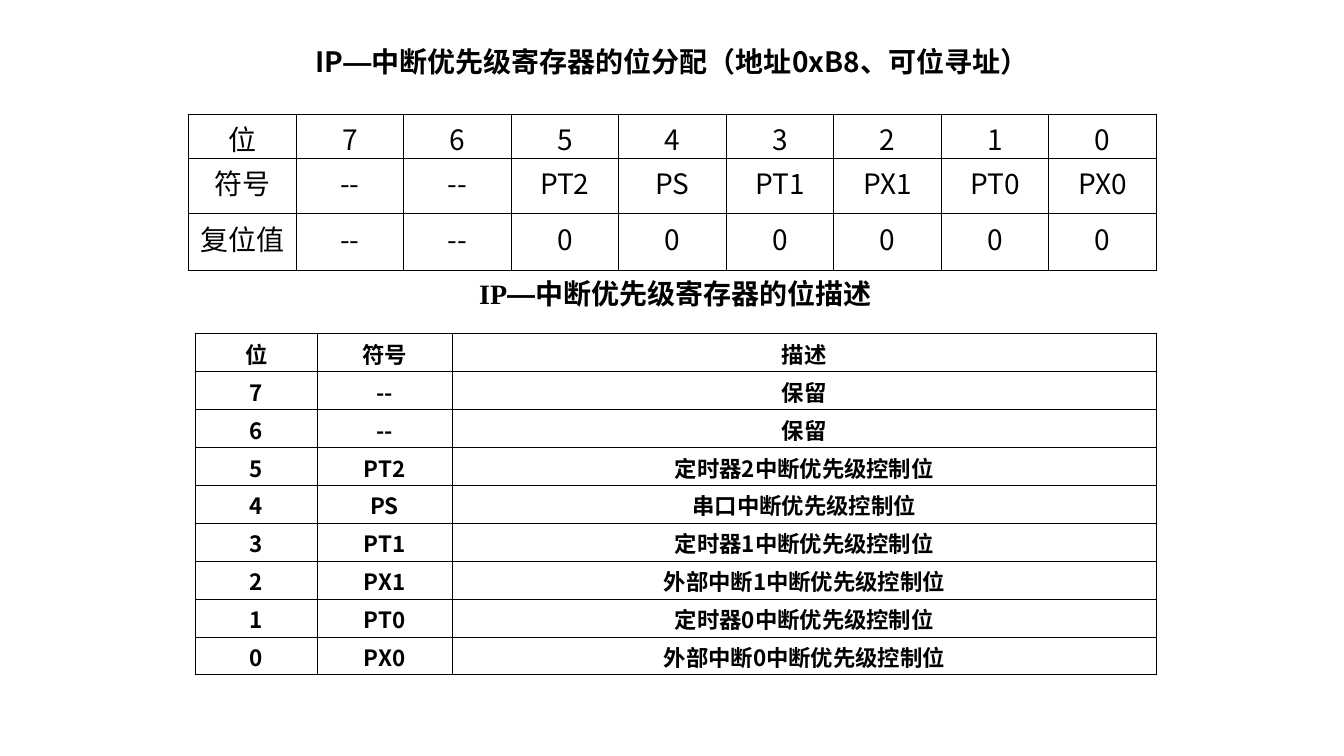
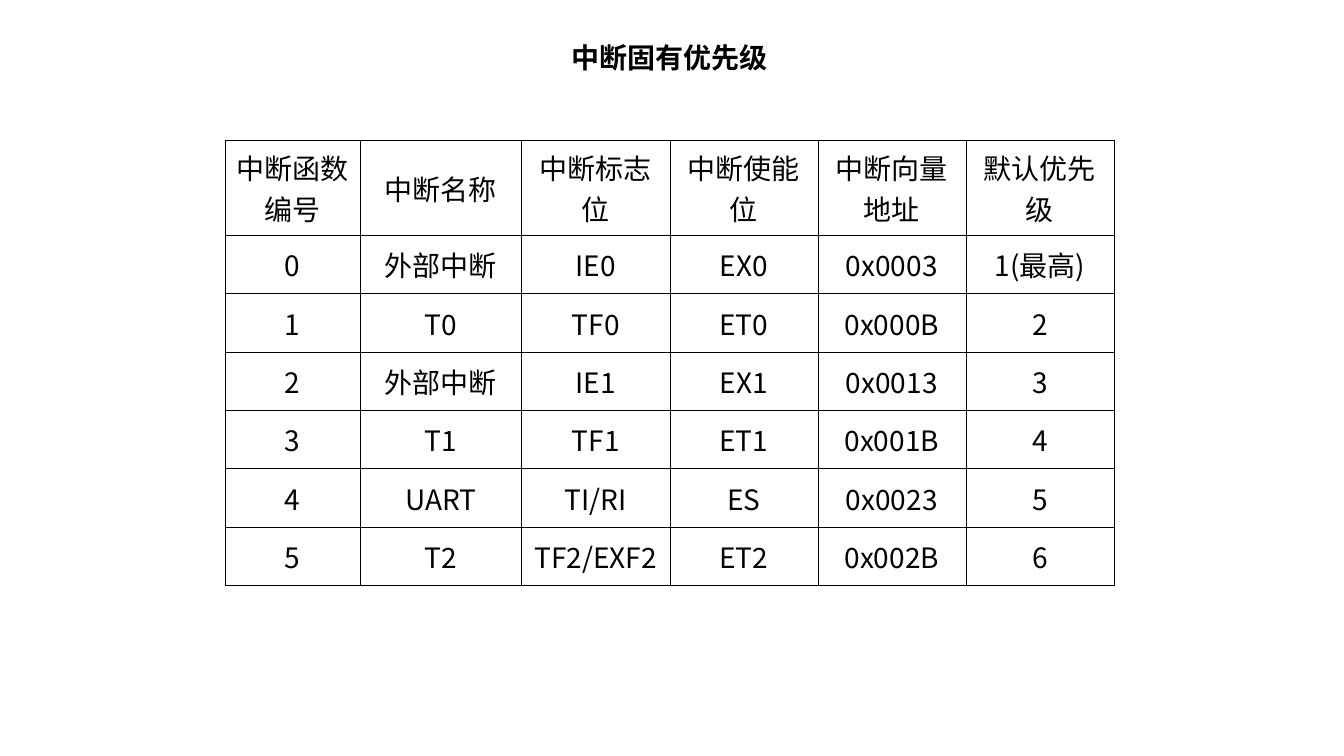
from dataclasses import dataclass

from pptx import Presentation
from pptx.dml.color import RGBColor
from pptx.enum.text import MSO_ANCHOR as Anchor, PP_ALIGN as Align
from pptx.oxml import parse_xml
from pptx.oxml.ns import nsdecls, qn
from pptx.oxml.xmlchemy import OxmlElement
from pptx.slide import Slide
from pptx.table import _Cell as Cell
from pptx.text.text import TextFrame
from pptx.util import Cm, Pt

WIDTH, HEIGHT = 33.87, 19.05
BLACK = "000000"
SANS, ARIAL, SERIF = "Noto Sans CJK SC", "Arial", "Times New Roman"


@dataclass
class Title:
    """A centred heading made of (text, font) runs; lengths in cm."""
    top: float
    runs: list[tuple[str, str]]
    left: float = 0
    width: float = WIDTH


@dataclass
class Grid:
    """A ruled table; lengths in cm."""
    left: float
    top: float
    cols: list[float]
    rows: list[float]
    data: list[list[str]]
    size: int = 20
    bold: bool = False
    anchor: Anchor = Anchor.TOP
    pad_top: float = 0.1
    pad_end: float = 0


def color(code: str) -> RGBColor:
    return RGBColor.from_string(code)


def write(frame: TextFrame, text: str, *, font: str = SANS, size: int = 20,
          bold: bool = False, ink: str = BLACK) -> None:
    """Append a run to the frame's first, centred paragraph."""
    para = frame.paragraphs[0]
    para.alignment = Align.CENTER
    run = para.add_run()
    run.text = text
    run.font.size = Pt(size)
    run.font.bold = bold
    run.font.color.rgb = color(ink)
    run.font.name = font
    east = OxmlElement("a:ea")
    east.set("typeface", font)
    run._r.get_or_add_rPr().find(qn("a:latin")).addnext(east)


def rule(cell: Cell, ink: str = BLACK, points: float = 0.5) -> None:
    """Draw a line on all four sides of a cell."""
    props = cell._tc.get_or_add_tcPr()
    for place, side in enumerate("LRTB"):
        props.insert(place, parse_xml(
            f'<a:ln{side} {nsdecls("a")} w="{Pt(points)}"><a:solidFill>'
            f'<a:srgbClr val="{ink}"/></a:solidFill></a:ln{side}>'))


def add_title(slide: Slide, title: Title) -> None:
    box = slide.shapes.add_textbox(Cm(title.left), Cm(title.top),
                                   Cm(title.width), Cm(1.12))
    frame = box.text_frame
    frame.word_wrap = True
    frame.margin_top = frame.margin_bottom = 0
    for text, font in title.runs:
        write(frame, text, font=font, bold=True)


def add_grid(slide: Slide, grid: Grid) -> None:
    table = slide.shapes.add_table(
        len(grid.rows), len(grid.cols), Cm(grid.left), Cm(grid.top),
        Cm(sum(grid.cols)), Cm(sum(grid.rows))).table
    table.first_row = table.horz_banding = False
    for col, width in zip(table.columns, grid.cols):
        col.width = Cm(width)
    for row, height, texts in zip(table.rows, grid.rows, grid.data):
        row.height = Cm(height)
        for cell, text in zip(row.cells, texts):
            cell.fill.background()
            rule(cell)
            cell.vertical_anchor = grid.anchor
            cell.margin_top = Cm(grid.pad_top)
            cell.margin_bottom = Cm(grid.pad_end)
            write(cell.text_frame, text, size=grid.size, bold=grid.bold)


def split(text: str) -> list[list[str]]:
    """Turn lines of words into table rows."""
    return [line.split() for line in text.strip().splitlines()]


BITS = Grid(4.75, 2.88, [2.71] * 9, [1.11, 1.39, 1.42], split("""
位 7 6 5 4 3 2 1 0
符号 -- -- PT2 PS PT1 PX1 PT0 PX0
复位值 -- -- 0 0 0 0 0 0
"""))

ROLES = Grid(4.93, 8.4, [3.06, 3.4, 17.76], [8.61 / 9] * 9, split("""
位 符号 描述
7 -- 保留
6 -- 保留
5 PT2 定时器2中断优先级控制位
4 PS 串口中断优先级控制位
3 PT1 定时器1中断优先级控制位
2 PX1 外部中断1中断优先级控制位
1 PT0 定时器0中断优先级控制位
0 PX0 外部中断0中断优先级控制位
"""), size=16, bold=True)

RANKS = Grid(5.68, 3.54, [3.39, 4.08] + [3.73] * 4, [2.39] + [1.47] * 6, split("""
中断函数编号 中断名称 中断标志位 中断使能位 中断向量地址 默认优先级
0 外部中断 IE0 EX0 0x0003 1(最高)
1 T0 TF0 ET0 0x000B 2
2 外部中断 IE1 EX1 0x0013 3
3 T1 TF1 ET1 0x001B 4
4 UART TI/RI ES 0x0023 5
5 T2 TF2/EXF2 ET2 0x002B 6
"""), anchor=Anchor.MIDDLE, pad_end=0.1)

SLIDES = [
    ([Title(1.12, [("IP", SANS), ("—", ARIAL),
                   ("中断优先级寄存器的位分配（地址0xB8、可位寻址）", SANS)]),
      Title(6.96, [("IP", SERIF), ("—", ARIAL),
                   ("中断优先级寄存器的位描述", SANS)],
            left=0.18, width=WIDTH - 0.18)],
     [BITS, ROLES]),
    ([Title(1.02, [("中断固有优先级", SANS)], width=33.76)], [RANKS]),
]


def main() -> None:
    deck = Presentation()
    deck.slide_width, deck.slide_height = Cm(WIDTH), Cm(HEIGHT)
    for titles, grids in SLIDES:
        slide = deck.slides.add_slide(deck.slide_layouts[6])
        for title in titles:
            add_title(slide, title)
        for grid in grids:
            add_grid(slide, grid)
    deck.save("out.pptx")


if __name__ == "__main__":
    main()
